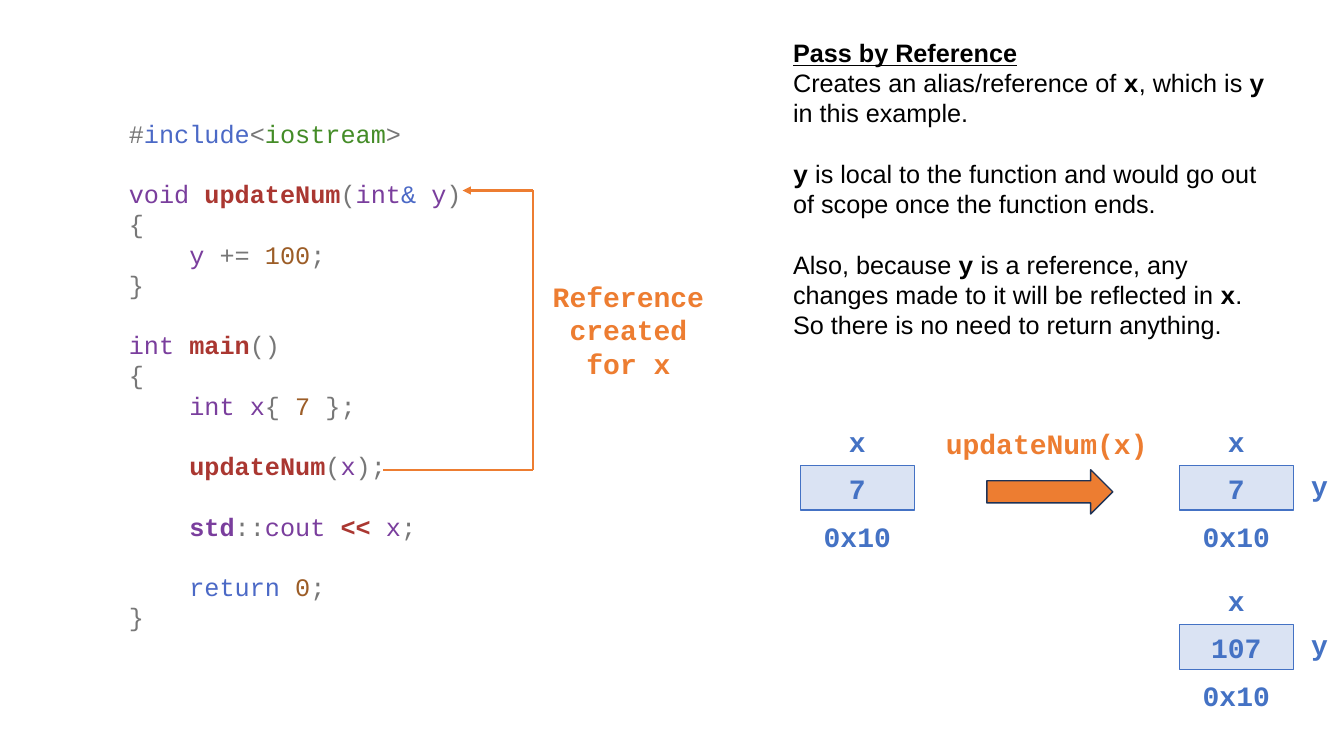
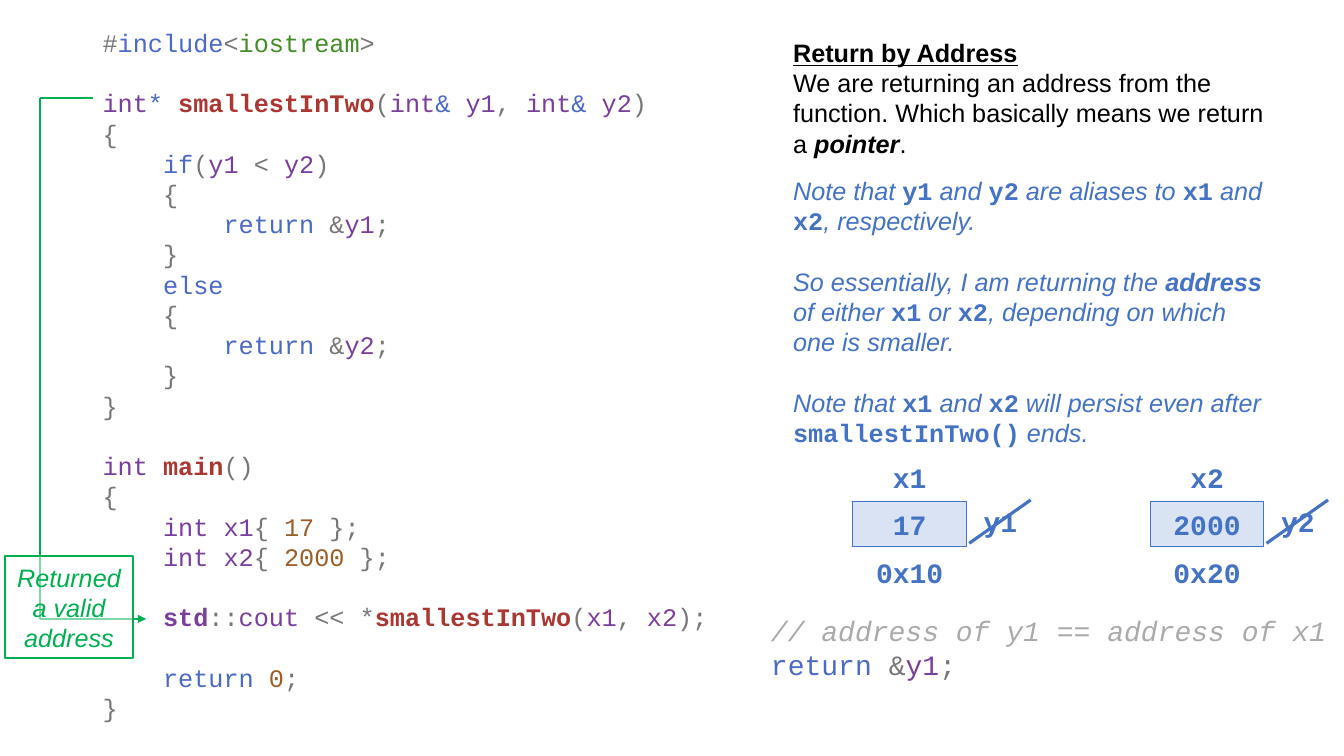
"""Build two slides on passing by reference and returning by address."""
from dataclasses import dataclass, field
from itertools import pairwise

from lxml.etree import SubElement
from pptx import Presentation
from pptx.dml.color import RGBColor as Rgb
from pptx.enum.shapes import MSO_CONNECTOR as Link, MSO_SHAPE as Kind
from pptx.enum.text import MSO_ANCHOR as Anchor, PP_ALIGN as Align
from pptx.oxml.ns import qn
from pptx.shapes.autoshape import Shape
from pptx.slide import Slide
from pptx.text.text import TextFrame
from pptx.util import Inches, Pt

SANS, MONO = "Arial", "Courier New"


@dataclass(frozen=True)
class Look:
    """Face, colour and weight of a run."""
    face: str
    tint: str
    bold: bool = False
    slant: bool = False
    under: bool = False


@dataclass(frozen=True)
class Theme:
    """Grid, colours, type sizes and run looks of the deck."""
    unit: float = 0.1
    cols: float = 133.33
    rows: float = 75
    body: int = 18
    label: int = 20
    lead: float = 1.2
    ink: str = "000000"
    blue: str = "4472C4"
    pale: str = "DAE3F3"
    orange: str = "ED7D31"
    navy: str = "1E3256"
    green: str = "00B050"
    white: str = "FFFFFF"
    looks: dict[str, Look] = field(default_factory=dict)

    def __post_init__(self) -> None:
        """Name each look by the letter used in marked text."""
        self.looks.update(
            p=Look(MONO, "777777"), k=Look(MONO, "4B69C6"),
            s=Look(MONO, "448C27"), v=Look(MONO, "7A3E9D"),
            V=Look(MONO, "7A3E9D", bold=True),
            f=Look(MONO, "AA3731", bold=True), n=Look(MONO, "9C5D27"),
            c=Look(MONO, "AAAAAA", slant=True),
            t=Look(SANS, self.ink), h=Look(SANS, self.ink, bold=True, under=True),
            e=Look(SANS, self.ink, bold=True, slant=True),
            m=Look(MONO, self.ink, bold=True),
            i=Look(SANS, self.blue, slant=True),
            E=Look(SANS, self.blue, bold=True, slant=True),
            M=Look(MONO, self.blue, bold=True),
            o=Look(MONO, self.orange, bold=True),
            r=Look(SANS, self.green, slant=True))


THEME = Theme()


@dataclass(frozen=True)
class Box:
    """Place on the grid, in columns and rows."""
    x: float
    y: float
    w: float
    h: float

    def emu(self) -> list[int]:
        """Give left, top, width and height as lengths."""
        return [span(n) for n in (self.x, self.y, self.w, self.h)]


@dataclass(frozen=True)
class Slot:
    """Memory slot with its value, name, address and alias."""
    x: float
    y: float
    value: str
    name: str
    place: str
    alias: str = ""
    struck: bool = False


def span(count: float) -> int:
    """Turn grid units into a length."""
    return Inches(count * THEME.unit)


def write(frame: TextFrame, text: str, size: int, align: Align) -> None:
    """Fill a frame with marked text; an empty line opens a gap."""
    frame.word_wrap = True
    pitch = Pt(size * THEME.lead)
    first, gap = True, False
    for line in text.strip("\n").splitlines():
        if not line:
            gap = True
            continue
        para = frame.paragraphs[0] if first else frame.add_paragraph()
        para.alignment, para.line_spacing = align, pitch
        para.space_before = pitch if gap else Pt(0)
        first, gap = False, False
        indent, *parts = line.split("~")
        for part in ([f"p{indent}"] if indent else []) + parts:
            look = THEME.looks[part[0]]
            run = para.add_run()
            run.text = part[1:]
            font = run.font
            font.name, font.size = look.face, Pt(size)
            font.bold, font.italic, font.underline = look.bold, look.slant, look.under
            font.color.rgb = Rgb.from_string(look.tint)


def put(slide: Slide, box: Box, text: str, size: int = THEME.body,
        align: Align = Align.LEFT) -> None:
    """Add a text box."""
    write(slide.shapes.add_textbox(*box.emu()).text_frame, text, size, align)


def label(slide: Slide, box: Box, text: str) -> None:
    """Add a centred label."""
    put(slide, box, text, THEME.label, Align.CENTER)


def block(slide: Slide, kind: Kind, box: Box, fill: str, edge: str, width: float,
          text: str = "", size: int = THEME.label) -> Shape:
    """Add a filled shape with centred text."""
    shape = slide.shapes.add_shape(kind, *box.emu())
    shape.shadow.inherit = False
    shape.fill.solid()
    shape.fill.fore_color.rgb = Rgb.from_string(fill)
    shape.line.color.rgb = Rgb.from_string(edge)
    shape.line.width = Pt(width)
    shape.text_frame.vertical_anchor = Anchor.MIDDLE
    write(shape.text_frame, text, size, Align.CENTER)
    return shape


def route(slide: Slide, tint: str, width: float, *stops: tuple[float, float],
          tip: bool = True) -> None:
    """Draw straight lines through the stops, with an arrowhead at the last."""
    for start, end in pairwise(stops):
        line = slide.shapes.add_connector(
            Link.STRAIGHT, *(span(n) for n in (*start, *end)))
        line.line.color.rgb = Rgb.from_string(tint)
        line.line.width = Pt(width)
        props = line._element.spPr
        if tip and end == stops[-1]:
            SubElement(props.find(qn("a:ln")), qn("a:tailEnd"), type="triangle")
        SubElement(props, qn("a:effectLst"))


def store(slide: Slide, slot: Slot) -> None:
    """Draw a memory slot with its labels."""
    x, y, wide, high = slot.x, slot.y, 11.3, 4.4
    block(slide, Kind.RECTANGLE, Box(x, y, wide, high), THEME.pale, THEME.blue,
          0.75, f"~M{slot.value}")
    for text, drop in ((slot.name, -4.6), (slot.place, 4.8)):
        label(slide, Box(x - 1.7, y + drop, wide + 3.4, high), f"~M{text}")
    if slot.alias:
        room = 3.1 + 1.5 * len(slot.alias)
        label(slide, Box(x + 11.6, y - 0.2, room, high), f"~M{slot.alias}")
    if slot.struck:
        route(slide, THEME.blue, 2.25, (x + 17.65, y - 0.2), (x + 11.55, y + 4.1),
              tip=False)


PASS_CODE = """
~p#~kinclude~p<~siostream~p>

~vvoid ~fupdateNum~p(~vint~k& ~vy~p)
~p{
    ~vy ~p+= ~n100~p;
~p}

~vint ~fmain~p()
~p{
    ~vint x~p{ ~n7 ~p};

    ~fupdateNum~p(~vx~p);

    ~Vstd~p::~vcout ~f<< ~vx~p;

    ~kreturn ~n0~p;
~p}
"""

PASS_NOTE = """
~hPass by Reference
~tCreates an alias/reference of ~mx~t, which is ~my~t in this example.

~my~t is local to the function and would go out of scope once the function ends.

~tAlso, because ~my~t is a reference, any changes made to it will be reflected in ~mx~t. So there is no need to return anything.
"""

BACK_CODE = """
~p#~kinclude~p<~siostream~p>

~vint~k* ~fsmallestInTwo~p(~vint~k& ~vy1~p, ~vint~k& ~vy2~p)
~p{
    ~kif~p(~vy1 ~p< ~vy2~p)
    ~p{
        ~kreturn ~p&~vy1~p;
    ~p}
    ~kelse
    ~p{
        ~kreturn ~p&~vy2~p;
    ~p}
~p}

~vint ~fmain~p()
~p{
    ~vint x1~p{ ~n17 ~p};
    ~vint x2~p{ ~n2000 ~p};

    ~Vstd~p::~vcout ~p<< *~fsmallestInTwo~p(~vx1~p, ~vx2~p);

    ~kreturn ~n0~p;
~p}
"""

BACK_HEAD = """
~hReturn by Address
~tWe are returning an address from the function. Which basically means we return a ~epointer~t.
"""

BACK_NOTE = """
~iNote that ~My1~i and ~My2~i are aliases to ~Mx1~i and ~Mx2~i, respectively.

~iSo essentially, I am returning the ~Eaddress ~iof either ~Mx1~i or ~Mx2~i, depending on which one is smaller.

~iNote that ~Mx1~i and ~Mx2~i will persist even after ~MsmallestInTwo()~i ends.
"""

BACK_LINE = """
~c// address of y1 == address of x1
~kreturn ~p&~vy1~p;
"""


def draw_pass(slide: Slide) -> None:
    """Draw the slide on passing by reference."""
    put(slide, Box(11.8, 11.2, 36.2, 52.5), PASS_CODE)
    put(slide, Box(77.7, 3.2, 49.4, 31.3), PASS_NOTE)
    for slot in (Slot(79.4, 46.2, "7", "x", "0x10"),
                 Slot(117, 46.2, "7", "x", "0x10", "y"),
                 Slot(117, 62, "107", "x", "0x10", "y")):
        store(slide, slot)
    label(slide, Box(92.2, 41.8, 23.3, 4.4), "~oupdateNum(x)")
    block(slide, Kind.RIGHT_ARROW, Box(97.9, 46.6, 12.5, 4.4), THEME.orange,
          THEME.navy, 1)
    route(slide, THEME.orange, 1.5, (38, 46.6), (52.9, 46.6), (52.9, 18.9),
          (45.9, 18.9))
    label(slide, Box(53.7, 27.2, 17.3, 11.1), "~oReference created for x")


def draw_back(slide: Slide) -> None:
    """Draw the slide on returning by address."""
    put(slide, Box(77.7, 3.2, 49.4, 13.1), BACK_HEAD)
    put(slide, Box(9.2, 2.2, 64.7, 70.7), BACK_CODE)
    put(slide, Box(77.7, 16.9, 49.4, 28.3), BACK_NOTE)
    route(slide, THEME.green, 1.5, (9.2, 9.7), (4, 9.7), (4, 61.4), (14.5, 61.4))
    veil = block(slide, Kind.RECTANGLE, Box(0.5, 55.2, 12.7, 10.1), THEME.white,
                 THEME.green, 1.5, "~rReturned a valid address", THEME.body)
    tint = veil._element.spPr.find(qn("a:solidFill")).find(qn("a:srgbClr"))
    SubElement(tint, qn("a:alpha"), val="50000")
    for slot in (Slot(84.6, 49.8, "17", "x1", "0x10", "y1", True),
                 Slot(114.1, 49.8, "2000", "x2", "0x20", "y2", True)):
        store(slide, slot)
    put(slide, Box(75.5, 60.4, 57.8, 7.7), BACK_LINE, THEME.label)


def main() -> None:
    """Build and save the deck."""
    deck = Presentation()
    deck.slide_width, deck.slide_height = span(THEME.cols), span(THEME.rows)
    for draw in (draw_pass, draw_back):
        draw(deck.slides.add_slide(deck.slide_layouts[6]))
    deck.save("out.pptx")


if __name__ == "__main__":
    main()
